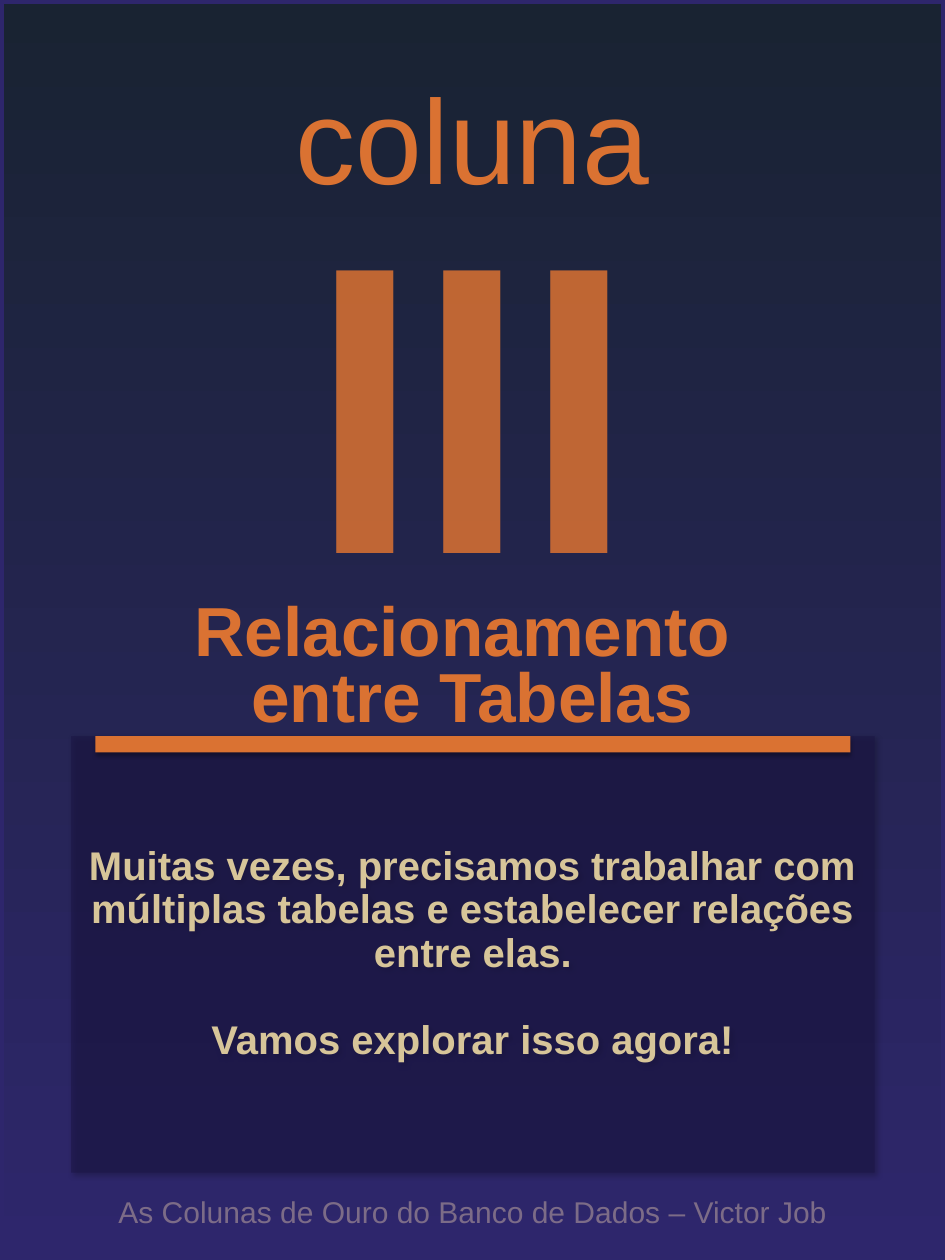
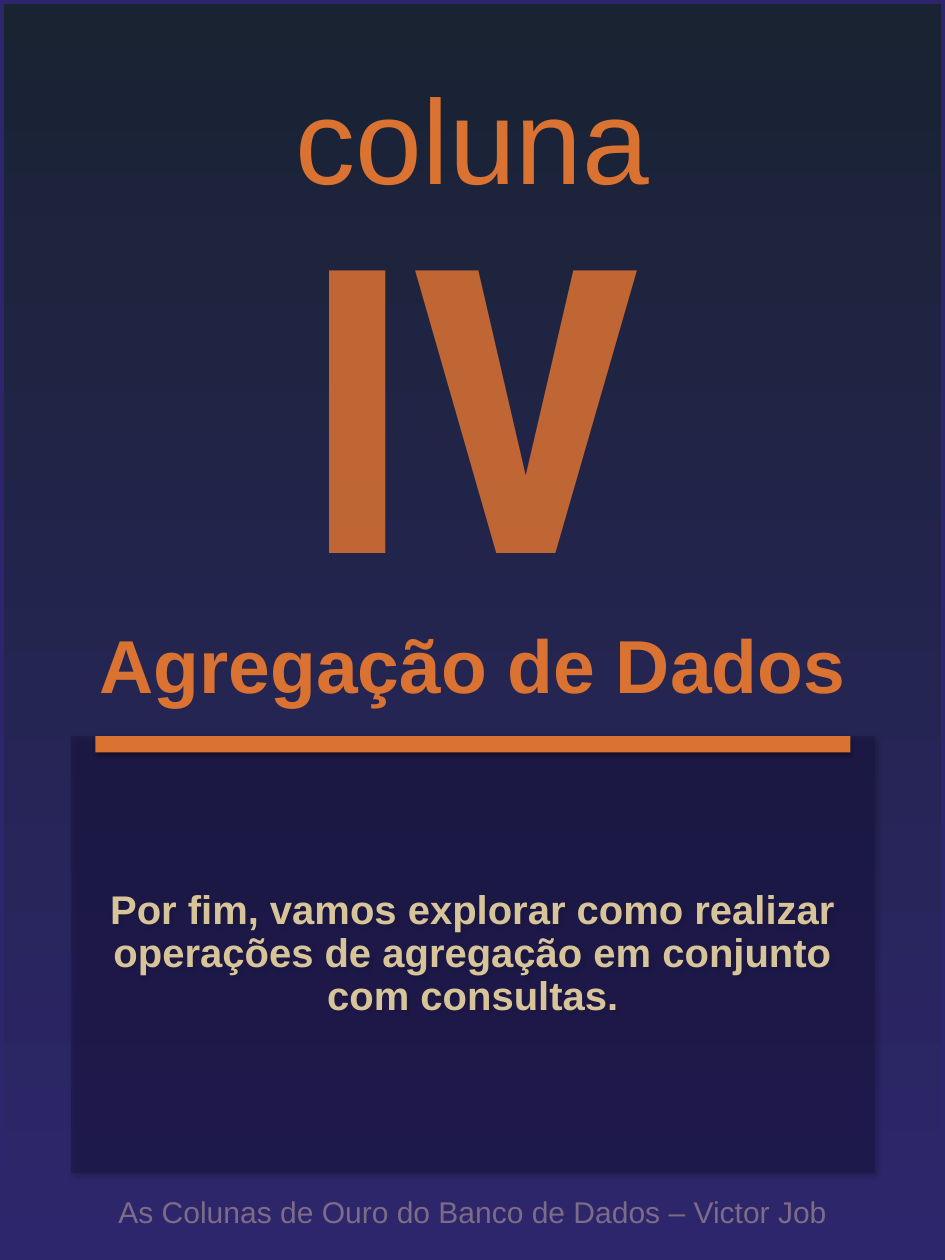
"""Build the two chapter opening slides, columns III and IV."""
from dataclasses import dataclass

from pptx import Presentation
from pptx.dml.color import RGBColor
from pptx.enum.shapes import MSO_SHAPE
from pptx.enum.text import MSO_ANCHOR, PP_ALIGN
from pptx.oxml import parse_xml
from pptx.oxml.ns import nsdecls, qn
from pptx.util import Inches, Pt

RECTANGLE = MSO_SHAPE.RECTANGLE
MIDDLE = MSO_ANCHOR.MIDDLE
CENTER = PP_ALIGN.CENTER


@dataclass(frozen=True)
class Theme:
    night: str = "192332"
    violet: str = "2E266C"
    panel: str = "1B1545"
    orange: str = "DA7232"
    sand: str = "D7C599"
    footer: str = "DABFAA"
    font: str = "Arial"
    numeral_font: str = "Roboto Condensed"
    label_size: float = 96
    numeral_size: float = 318
    body_size: float = 32
    footer_size: float = 24
    body_gap: float = 35


THEME = Theme()
FOOTER = "As Colunas de Ouro do Banco de Dados – Victor Job"
CHAPTERS = [
    {
        "numeral": "III",
        "title": ["Relacionamento ", "entre Tabelas"],
        "title_size": 55.5,
        "title_spacing": 0.8,
        "body": [
            "Muitas vezes, precisamos trabalhar com múltiplas tabelas e estabelecer relações entre elas.",
            "Vamos explorar isso agora!",
        ],
    },
    {
        "numeral": "IV",
        "title": ["Agregação de Dados"],
        "title_size": 60,
        "title_spacing": 0.9,
        "body": ["Por fim, vamos explorar como realizar operações de agregação em conjunto com consultas."],
    },
]


def write(shape, lines, size, colour=None, bold=None, spacing=0.9, gap=0):
    """Fill a shape with centred paragraphs and return their runs."""
    frame = shape.text_frame
    frame.word_wrap = True
    frame.vertical_anchor = MIDDLE
    runs = []
    for index, line in enumerate(lines):
        paragraph = frame.add_paragraph() if index else frame.paragraphs[0]
        paragraph.alignment = CENTER
        paragraph.line_spacing = spacing
        if index and gap:
            paragraph.space_before = Pt(gap)
        run = paragraph.add_run()
        run.text = line
        run.font.name = THEME.font
        run.font.size = Pt(size)
        run.font.bold = bold
        if colour:
            run.font.color.rgb = RGBColor.from_string(colour)
        runs.append(run)
    return runs


def add_block(slide, box, colour, opacity, shadow):
    """Add a borderless rectangle with an outer shadow."""
    shape = slide.shapes.add_shape(RECTANGLE, *map(Inches, box))
    shape.fill.solid()
    shape.fill.fore_color.rgb = RGBColor.from_string(colour)
    shape.line.fill.background()
    properties = shape._element.spPr
    if opacity < 100:
        tint = properties.find(qn("a:solidFill")).find(qn("a:srgbClr"))
        tint.append(parse_xml(f'<a:alpha {nsdecls("a")} val="{opacity * 1000}"/>'))
    alpha, blur, distance, angle = shadow
    properties.append(parse_xml(
        f'<a:effectLst {nsdecls("a")}><a:outerShdw blurRad="{Pt(blur)}" dist="{Pt(distance)}" '
        f'dir="{angle * 60000}" algn="t" rotWithShape="0"><a:srgbClr val="000000">'
        f'<a:alpha val="{alpha * 1000}"/></a:srgbClr></a:outerShdw></a:effectLst>'))
    return shape


presentation = Presentation()
presentation.slide_width = Inches(10.5)
presentation.slide_height = Inches(14)

for chapter in CHAPTERS:
    slide = presentation.slides.add_slide(presentation.slide_layouts[6])

    backdrop = slide.shapes.add_shape(
        RECTANGLE, 0, 0, presentation.slide_width, presentation.slide_height)
    backdrop.shadow.inherit = False
    backdrop.fill.gradient()
    backdrop.fill.gradient_angle = 90
    for stop, colour in zip(backdrop.fill.gradient_stops, (THEME.night, THEME.violet)):
        stop.color.rgb = RGBColor.from_string(colour)
    backdrop.line.color.rgb = RGBColor.from_string(THEME.violet)
    backdrop.line.width = Pt(6)
    backdrop._element.spPr.find(qn("a:xfrm")).set("flipV", "1")

    heading = slide.shapes.add_textbox(0, Inches(0.45), Inches(10.5), Inches(7.1))
    label, numeral = write(heading, ["coluna", chapter["numeral"]], THEME.label_size)
    numeral.font.name = THEME.numeral_font
    numeral.font.size = Pt(THEME.numeral_size)
    numeral.font.bold = True
    for run, width, opacity in ((label, 4.5, 100), (numeral, 16, 85)):
        run.font.fill.background()
        run._r.get_or_add_rPr().insert(0, parse_xml(
            f'<a:ln {nsdecls("a")} w="{Pt(width)}"><a:solidFill><a:srgbClr val="{THEME.orange}">'
            f'<a:alpha val="{opacity * 1000}"/></a:srgbClr></a:solidFill>'
            '<a:prstDash val="solid"/></a:ln>'))

    panel = add_block(slide, (0.79, 8.18, 8.93, 4.85), THEME.panel, 52, (40, 4, 3, 45))
    write(panel, chapter["body"], THEME.body_size, THEME.sand, True, gap=THEME.body_gap)

    footer = slide.shapes.add_textbox(0, Inches(12.97), Inches(10.5), Inches(1.03))
    footer_run = write(footer, [FOOTER], THEME.footer_size, THEME.footer)[0]
    footer_tint = footer_run._r.rPr.find(qn("a:solidFill")).find(qn("a:srgbClr"))
    footer_tint.append(parse_xml(f'<a:alpha {nsdecls("a")} val="45000"/>'))

    add_block(slide, (1.06, 8.18, 8.39, 0.18), THEME.orange, 100, (32, 3.5, 2.2, 90))

    title = slide.shapes.add_textbox(0, Inches(6.64), Inches(10.5), Inches(1.6))
    write(title, chapter["title"], chapter["title_size"], THEME.orange, True,
          chapter["title_spacing"])

presentation.save("out.pptx")
